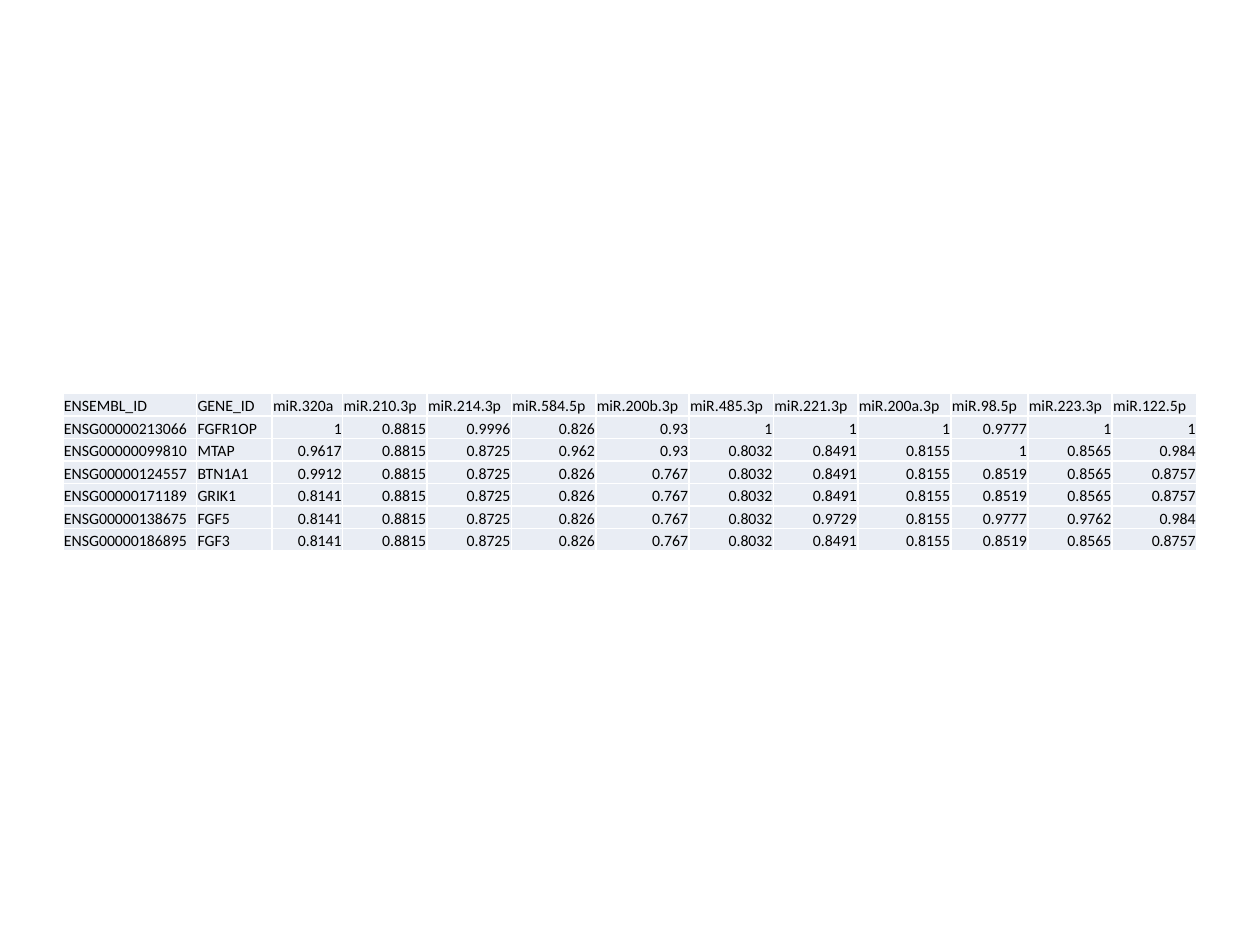
from lxml.etree import SubElement
from pptx import Presentation
from pptx.dml.color import RGBColor as RGB
from pptx.enum.text import MSO_ANCHOR as Anchor, PP_ALIGN as Align
from pptx.oxml.ns import qn
from pptx.util import Cm, Pt

COLORS = {"text": "000000", "fill": "E9EDF4", "rule": "FFFFFF"}

HEAD = ["ENSEMBL_ID", "GENE_ID", "miR.320a", "miR.210.3p", "miR.214.3p",
        "miR.584.5p", "miR.200b.3p", "miR.485.3p", "miR.221.3p",
        "miR.200a.3p", "miR.98.5p", "miR.223.3p", "miR.122.5p"]
GENES = [
    ["ENSG00000213066", "FGFR1OP", 1, 0.8815, 0.9996, 0.826, 0.93,
     1, 1, 1, 0.9777, 1, 1],
    ["ENSG00000099810", "MTAP", 0.9617, 0.8815, 0.8725, 0.962, 0.93,
     0.8032, 0.8491, 0.8155, 1, 0.8565, 0.984],
    ["ENSG00000124557", "BTN1A1", 0.9912, 0.8815, 0.8725, 0.826, 0.767,
     0.8032, 0.8491, 0.8155, 0.8519, 0.8565, 0.8757],
    ["ENSG00000171189", "GRIK1", 0.8141, 0.8815, 0.8725, 0.826, 0.767,
     0.8032, 0.8491, 0.8155, 0.8519, 0.8565, 0.8757],
    ["ENSG00000138675", "FGF5", 0.8141, 0.8815, 0.8725, 0.826, 0.767,
     0.8032, 0.9729, 0.8155, 0.9777, 0.9762, 0.984],
    ["ENSG00000186895", "FGF3", 0.8141, 0.8815, 0.8725, 0.826, 0.767,
     0.8032, 0.8491, 0.8155, 0.8519, 0.8565, 0.8757],
]
# Relative column widths, scaled to the width of the table
SHARES = [106, 60, 56, 67, 67, 67, 74, 67, 67, 74, 61, 67, 67]


def add_rules(cell):
    """Draw a thin line on all four sides of the cell."""
    props = cell._tc.get_or_add_tcPr()
    for side in ("lnL", "lnR", "lnT", "lnB"):
        line = SubElement(props, qn(f"a:{side}"), w=str(Pt(1)))
        fill = SubElement(line, qn("a:solidFill"))
        SubElement(fill, qn("a:srgbClr"), val=COLORS["rule"])


def fill_cell(cell, value):
    add_rules(cell)
    cell.fill.solid()
    cell.fill.fore_color.rgb = RGB.from_string(COLORS["fill"])
    cell.margin_left = cell.margin_right = cell.margin_top = Cm(0.02)
    cell.margin_bottom = 0
    cell.vertical_anchor = Anchor.BOTTOM
    cell.text = str(value)
    para = cell.text_frame.paragraphs[0]
    para.alignment = Align.LEFT if isinstance(value, str) else Align.RIGHT
    para.font.name = "Calibri"
    para.font.size = Pt(9)
    para.font.color.rgb = RGB.from_string(COLORS["text"])


def add_scores(slide, left, top, width, height):
    rows = [HEAD] + GENES
    table = slide.shapes.add_table(
        len(rows), len(HEAD), left, top, width, height).table
    table.first_row = table.horz_banding = False
    for col, share in zip(table.columns, SHARES):
        col.width = int(width * share / sum(SHARES))
    for row, values in zip(table.rows, rows):
        row.height = int(height / len(rows))
        for cell, value in zip(row.cells, values):
            fill_cell(cell, value)


def main():
    deck = Presentation()
    deck.slide_width, deck.slide_height = Cm(25.4), Cm(19.05)
    slide = deck.slides.add_slide(deck.slide_layouts[6])
    add_scores(slide, Cm(1.27), Cm(7.93), Cm(22.86), Cm(3.18))
    deck.save("out.pptx")


if __name__ == "__main__":
    main()
